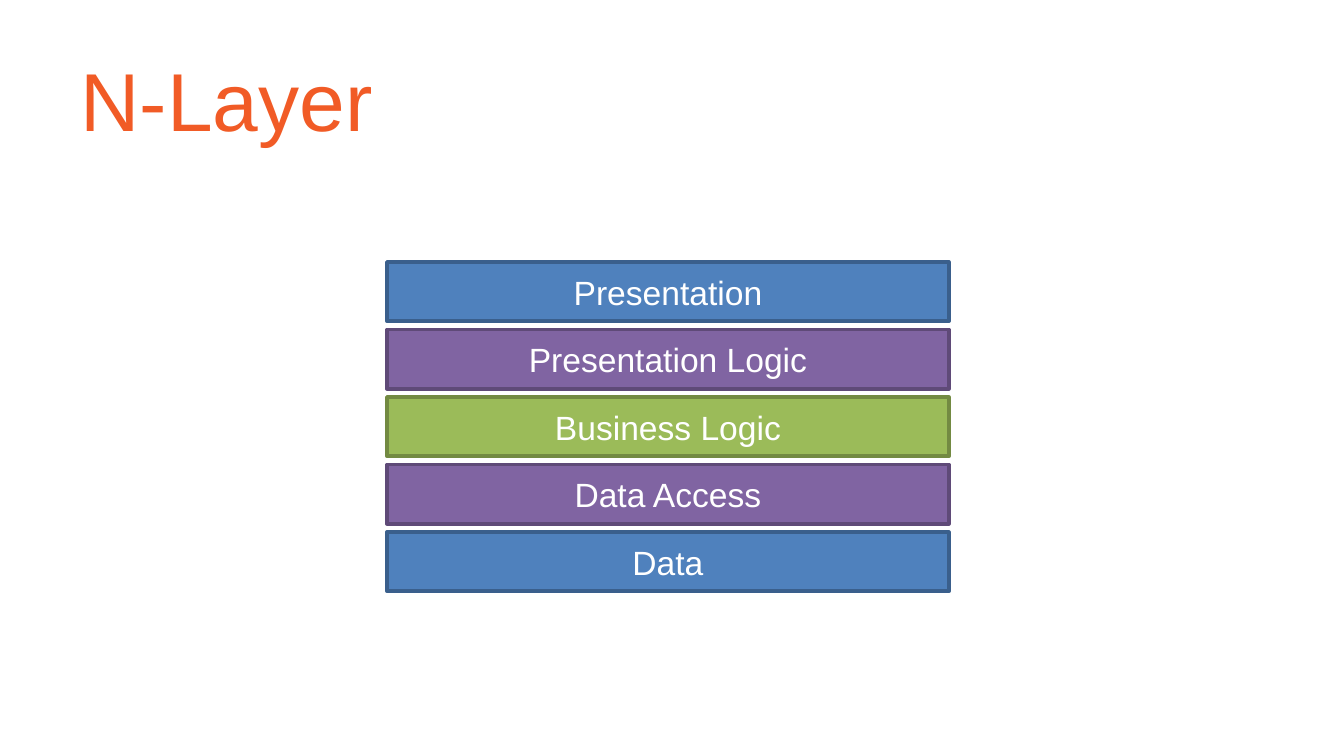
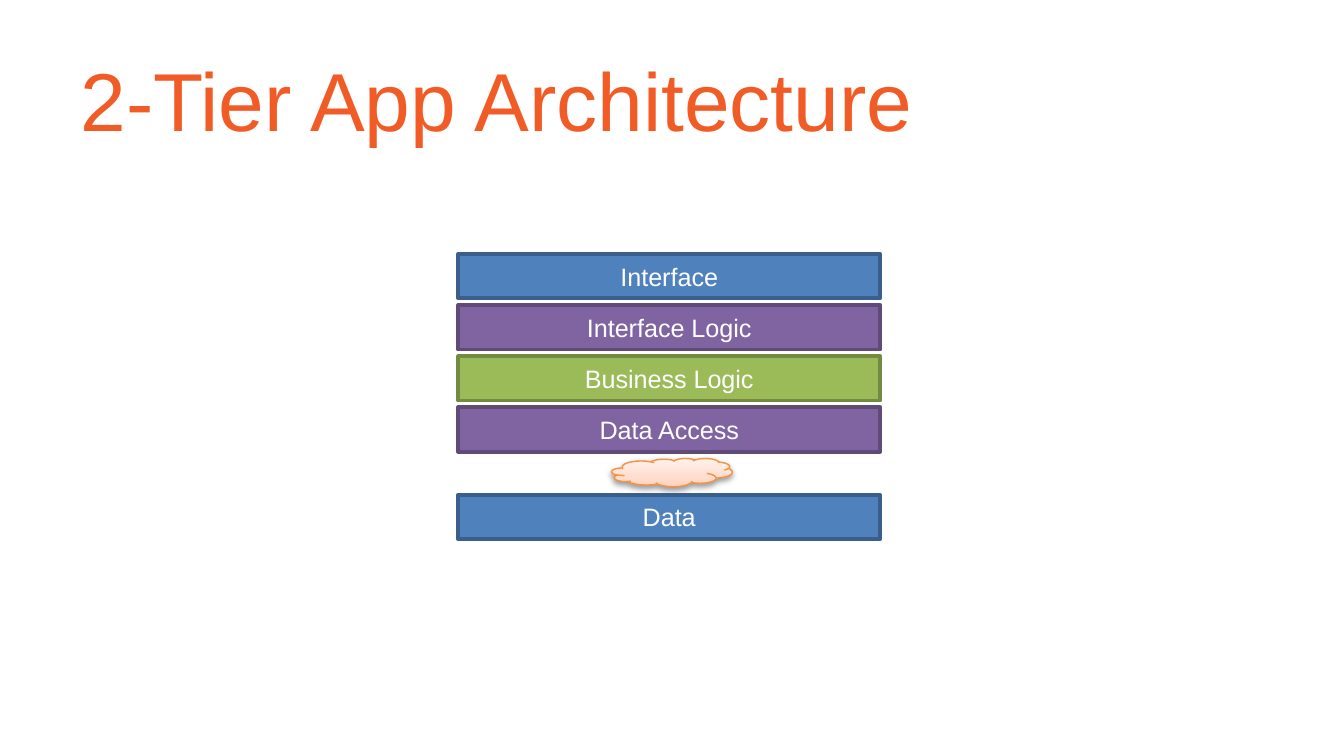
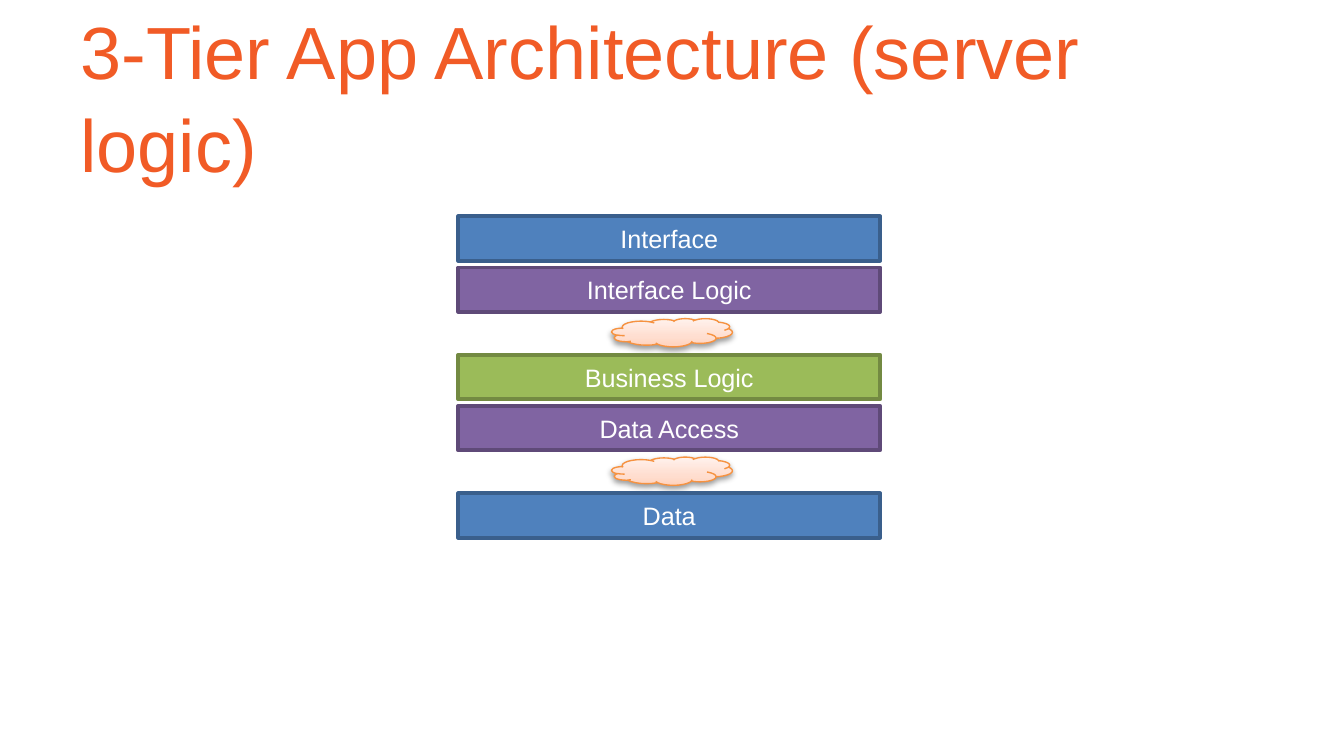
from dataclasses import dataclass

from pptx import Presentation
from pptx.dml.color import RGBColor
from pptx.enum.shapes import MSO_SHAPE
from pptx.enum.text import MSO_ANCHOR, PP_ALIGN
from pptx.oxml import parse_xml
from pptx.oxml.ns import nsdecls, qn
from pptx.shapes.autoshape import Shape
from pptx.slide import Slide
from pptx.util import Emu, Inches, Pt

RECTANGLE, CLOUD = MSO_SHAPE.RECTANGLE, MSO_SHAPE.CLOUD
MIDDLE = MSO_ANCHOR.MIDDLE
LEFT, CENTER = PP_ALIGN.LEFT, PP_ALIGN.CENTER

SLIDE_WIDTH = Inches(10)
SLIDE_HEIGHT = Inches(10 * 9 / 16)
FONT = "Arial"

ORANGE = RGBColor(0xF1, 0x5B, 0x26)
WHITE = RGBColor(0xFF, 0xFF, 0xFF)
BLUE = RGBColor(0x4F, 0x81, 0xBD)
BLUE_EDGE = RGBColor(0x3A, 0x5F, 0x8C)
PURPLE = RGBColor(0x80, 0x64, 0xA2)
PURPLE_EDGE = RGBColor(0x5F, 0x4A, 0x78)
GREEN = RGBColor(0x9B, 0xBB, 0x59)
GREEN_EDGE = RGBColor(0x73, 0x8A, 0x42)
CLOUD_EDGE = RGBColor(0xF6, 0x92, 0x40)
CLOUD_STOPS = (
    (0, RGBColor(0xFF, 0xD2, 0xBD)),
    (35, RGBColor(0xFF, 0xDE, 0xD0)),
    (100, RGBColor(0xFF, 0xF2, 0xED)),
)
SHADOW_COLOR = RGBColor(0, 0, 0)

# Positions and sizes are percentages of the slide's width and height.
TITLE_BOX = (5, 4.09, 90, 16.7)
CLOUD_LEFT, CLOUD_WIDTH, CLOUD_HEIGHT = 45.5, 9, 3.73
NETWORK_GAP = 4.8


@dataclass(frozen=True)
class Layer:
    label: str
    fill: RGBColor
    edge: RGBColor


@dataclass(frozen=True)
class StackStyle:
    left: float
    width: float
    height: float
    pitch: float
    font_size: float
    inset_x: float
    inset_y: float


@dataclass(frozen=True)
class Architecture:
    """A titled stack of tiers; a network cloud separates adjacent tiers."""
    title: str
    top: float
    style: StackStyle
    tiers: tuple[tuple[Layer, ...], ...]
    title_size: float = 44
    title_spacing: float = 1.1


PRESENTATION = Layer("Presentation", BLUE, BLUE_EDGE)
PRESENTATION_LOGIC = Layer("Presentation Logic", PURPLE, PURPLE_EDGE)
INTERFACE = Layer("Interface", BLUE, BLUE_EDGE)
INTERFACE_LOGIC = Layer("Interface Logic", PURPLE, PURPLE_EDGE)
BUSINESS_LOGIC = Layer("Business Logic", GREEN, GREEN_EDGE)
DATA_ACCESS = Layer("Data Access", PURPLE, PURPLE_EDGE)
DATA = Layer("Data", BLUE, BLUE_EDGE)

LARGE = StackStyle(28.8, 41.8, 7.83, 8.93, 18, 0.07, 0.04)
SMALL = StackStyle(34.1, 31.4, 5.87, 6.76, 13.5, 0.06, 0.03)

ARCHITECTURES = (
    Architecture("N-Layer", 34.67, LARGE, (
        (PRESENTATION, PRESENTATION_LOGIC, BUSINESS_LOGIC, DATA_ACCESS, DATA),
    )),
    Architecture("2-Tier App Architecture", 33.6, SMALL, (
        (INTERFACE, INTERFACE_LOGIC, BUSINESS_LOGIC, DATA_ACCESS),
        (DATA,),
    )),
    Architecture("3-Tier App Architecture (server logic)", 28.62, SMALL, (
        (INTERFACE, INTERFACE_LOGIC),
        (BUSINESS_LOGIC, DATA_ACCESS),
        (DATA,),
    ), title_size=39.6, title_spacing=1.05),
)


def area(left: float, top: float, width: float, height: float) -> tuple[Emu, ...]:
    """Turn percentages of the slide into lengths."""
    return (
        Emu(round(SLIDE_WIDTH * left / 100)),
        Emu(round(SLIDE_HEIGHT * top / 100)),
        Emu(round(SLIDE_WIDTH * width / 100)),
        Emu(round(SLIDE_HEIGHT * height / 100)),
    )


def write_text(shape: Shape, text: str, *, size: float, color: RGBColor,
               align: PP_ALIGN = LEFT, wrap: bool = True, spacing: float = 1.0,
               inset_x: float = 0.1, inset_y: float = 0.05) -> None:
    frame = shape.text_frame
    frame.word_wrap = wrap
    frame.vertical_anchor = MIDDLE
    frame.margin_left = frame.margin_right = Inches(inset_x)
    frame.margin_top = frame.margin_bottom = Inches(inset_y)
    paragraph = frame.paragraphs[0]
    paragraph.alignment = align
    paragraph.line_spacing = spacing
    run = paragraph.add_run()
    run.text = text
    run.font.name = FONT
    run.font.size = Pt(size)
    run.font.color.rgb = color


def add_outlined(slide: Slide, kind: MSO_SHAPE, box: tuple[Emu, ...],
                 edge: RGBColor, edge_width: float) -> Shape:
    shape = slide.shapes.add_shape(kind, *box)
    shape.shadow.inherit = False
    shape.line.color.rgb = edge
    shape.line.width = Pt(edge_width)
    return shape


def add_layer(slide: Slide, layer: Layer, style: StackStyle, top: float) -> None:
    box = area(style.left, top, style.width, style.height)
    bar = add_outlined(slide, RECTANGLE, box, layer.edge, 2)
    bar.fill.solid()
    bar.fill.fore_color.rgb = layer.fill
    write_text(bar, layer.label, size=style.font_size, color=WHITE,
               align=CENTER, wrap=False,
               inset_x=style.inset_x, inset_y=style.inset_y)


def add_network_cloud(slide: Slide, top: float) -> None:
    box = area(CLOUD_LEFT, top, CLOUD_WIDTH, CLOUD_HEIGHT)
    cloud = add_outlined(slide, CLOUD, box, CLOUD_EDGE, 0.75)
    stops = "".join(
        f'<a:gs pos="{position * 1000}"><a:srgbClr val="{color}"/></a:gs>'
        for position, color in CLOUD_STOPS
    )
    properties = cloud._element.spPr
    properties.find(qn("a:prstGeom")).addnext(parse_xml(
        f'<a:gradFill {nsdecls("a")} rotWithShape="1"><a:gsLst>{stops}</a:gsLst>'
        f'<a:lin ang="{270 * 60000}" scaled="0"/></a:gradFill>'
    ))
    properties.find(qn("a:effectLst")).append(parse_xml(
        f'<a:outerShdw {nsdecls("a")} blurRad="{Pt(3.1)}" dist="{Pt(1.6)}" '
        f'dir="{90 * 60000}" rotWithShape="0"><a:srgbClr val="{SHADOW_COLOR}">'
        '<a:alpha val="38000"/></a:srgbClr></a:outerShdw>'
    ))


def add_architecture(slide: Slide, architecture: Architecture) -> None:
    title = slide.shapes.add_textbox(*area(*TITLE_BOX))
    write_text(title, architecture.title, size=architecture.title_size,
               color=ORANGE, spacing=architecture.title_spacing)
    top = architecture.top
    for number, tier in enumerate(architecture.tiers):
        if number:
            add_network_cloud(slide, top)
            top += NETWORK_GAP
        for layer in tier:
            add_layer(slide, layer, architecture.style, top)
            top += architecture.style.pitch


def main() -> None:
    deck = Presentation()
    deck.slide_width = SLIDE_WIDTH
    deck.slide_height = SLIDE_HEIGHT
    blank = deck.slide_layouts[6]
    for architecture in ARCHITECTURES:
        add_architecture(deck.slides.add_slide(blank), architecture)
    deck.save("out.pptx")


if __name__ == "__main__":
    main()
